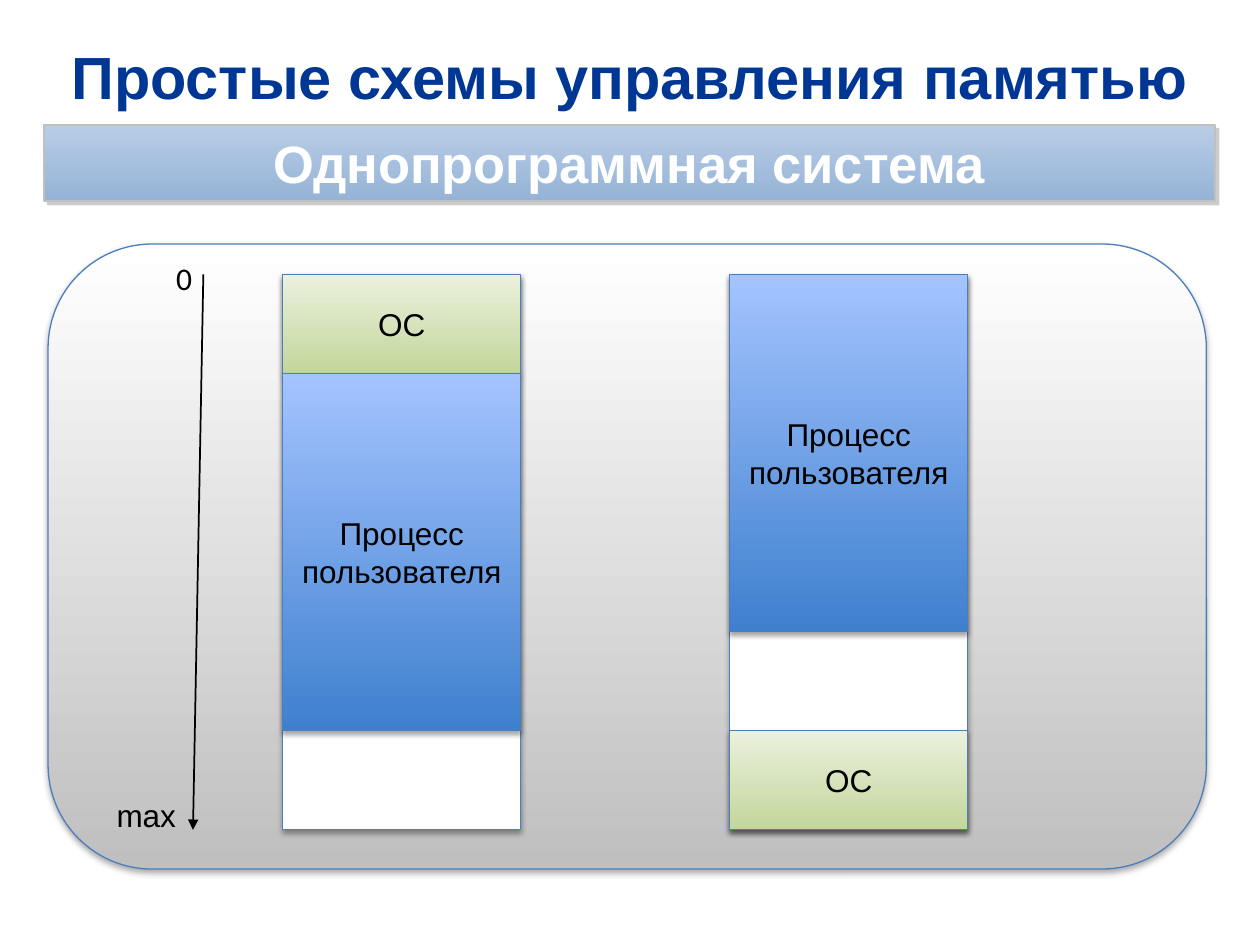
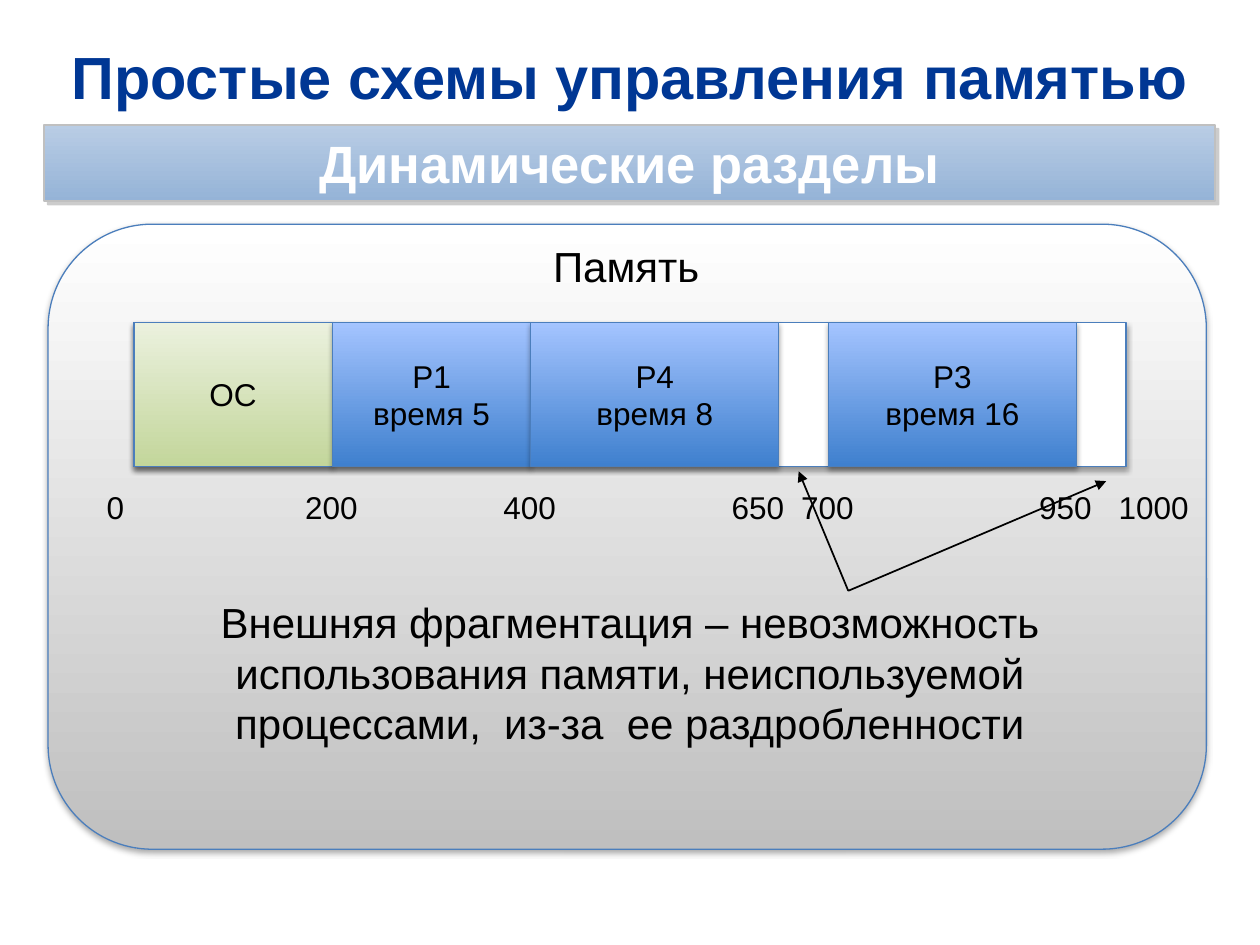
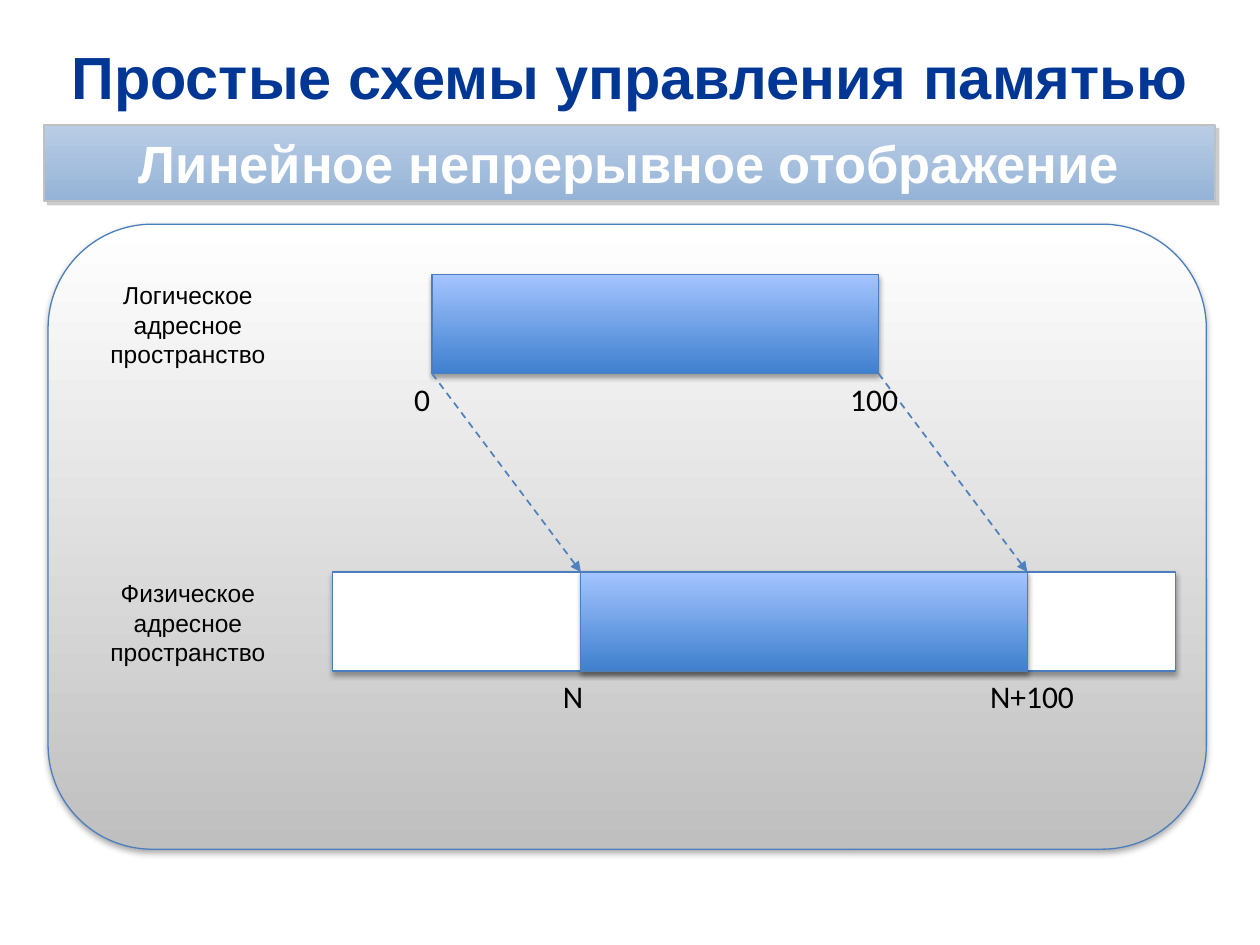
from dataclasses import dataclass
from typing import NamedTuple, Optional

from lxml.etree import SubElement
from pptx import Presentation
from pptx.dml.color import RGBColor
from pptx.enum.dml import MSO_LINE
from pptx.enum.shapes import MSO_CONNECTOR, MSO_SHAPE
from pptx.enum.text import MSO_ANCHOR, PP_ALIGN
from pptx.oxml.ns import qn
from pptx.shapes.autoshape import Shape
from pptx.slide import Slide
from pptx.util import Cm, Pt

TITLE = "Простые схемы управления памятью"
BLACK, WHITE = "000000", "FFFFFF"
TITLE_BLUE = "003794"
OUTLINE = "4B7EBC"
MAPPING_BLUE = "4F81BD"


class Box(NamedTuple):
    """Left, top, width and height in centimetres."""
    left: float
    top: float
    width: float
    height: float


class Shadow(NamedTuple):
    colour: str
    opacity: int
    blur: float
    distance: float
    angle: int


SOFT_SHADOW = Shadow(BLACK, 35, 3.1, 1.8, 90)
BAND_SHADOW = Shadow("808080", 40, 0, 3, 45)


@dataclass(frozen=True)
class Look:
    """Fill from top to bottom, outline and shadow of a shape."""
    top: str
    bottom: str
    outline: str = OUTLINE
    outline_width: float = 0.75
    shadow: Shadow = SOFT_SHADOW


PANEL = Look(WHITE, "BFBFBF")
BAND = Look("B9CDE5", "95B3D7", "C0C0C0", 1, BAND_SHADOW)
FREE = Look(WHITE, WHITE)
SYSTEM = Look("EBF1DE", "C3D69B")
PROCESS = Look("A4C4FF", "3F80CE")


@dataclass(frozen=True)
class TextStyle:
    size: float = 18
    font: str = "Arial"
    colour: str = BLACK
    bold: bool = False
    align: Optional[PP_ALIGN] = None


TITLE_STYLE = TextStyle(34, colour=TITLE_BLUE, bold=True, align=PP_ALIGN.CENTER)
BAND_STYLE = TextStyle(30, colour=WHITE, bold=True, align=PP_ALIGN.CENTER)
BLOCK_STYLE = TextStyle(align=PP_ALIGN.CENTER)
ADDRESS_STYLE = TextStyle()
CALIBRI_STYLE = TextStyle(font="Calibri")
SPACE_STYLE = TextStyle(14, align=PP_ALIGN.CENTER)
HEADING_STYLE = TextStyle(24)
NOTE_STYLE = TextStyle(24, align=PP_ALIGN.CENTER)


class Block(NamedTuple):
    """Part of a memory area, measured along its axis."""
    start: float
    length: float
    look: Look
    text: str = ""


class Address(NamedTuple):
    text: str
    left: float
    width: float


def rgb(colour: str) -> RGBColor:
    return RGBColor.from_string(colour)


def cm_box(box: Box) -> list[Cm]:
    return [Cm(length) for length in box]


def write(shape: Shape, text: str, style: TextStyle) -> None:
    frame = shape.text_frame
    frame.word_wrap = True
    frame.text = text
    for paragraph in frame.paragraphs:
        paragraph.alignment = style.align
        font = paragraph.font
        font.size, font.name, font.bold = Pt(style.size), style.font, style.bold
        font.color.rgb = rgb(style.colour)


def add_label(slide: Slide, box: Box, text: str, style: TextStyle) -> Shape:
    label = slide.shapes.add_textbox(*cm_box(box))
    write(label, text, style)
    return label


def cast_shadow(shape: Shape, shadow: Shadow) -> None:
    shape.shadow.inherit = False
    effects = shape._element.spPr.find(qn("a:effectLst"))
    outer = SubElement(
        effects, qn("a:outerShdw"), blurRad=str(Pt(shadow.blur)),
        dist=str(Pt(shadow.distance)), dir=str(shadow.angle * 60000),
        rotWithShape="0")
    colour = SubElement(outer, qn("a:srgbClr"), val=shadow.colour)
    SubElement(colour, qn("a:alpha"), val=str(shadow.opacity * 1000))


def add_area(slide: Slide, box: Box, look: Look, text: str = "",
             style: TextStyle = BLOCK_STYLE,
             outline: MSO_SHAPE = MSO_SHAPE.RECTANGLE) -> Shape:
    area = slide.shapes.add_shape(outline, *cm_box(box))
    if look.top == look.bottom:
        area.fill.solid()
        area.fill.fore_color.rgb = rgb(look.top)
    else:
        area.fill.gradient()
        area.fill.gradient_angle = 270
        for stop, colour in zip(area.fill.gradient_stops, (look.top, look.bottom)):
            stop.color.rgb = rgb(colour)
    area.line.color.rgb = rgb(look.outline)
    area.line.width = Pt(look.outline_width)
    cast_shadow(area, look.shadow)
    if text:
        area.text_frame.vertical_anchor = MSO_ANCHOR.MIDDLE
        write(area, text, style)
    return area


def add_arrow(slide: Slide, start: tuple[float, float], end: tuple[float, float],
              colour: str = BLACK, dashed: bool = False) -> None:
    arrow = slide.shapes.add_connector(
        MSO_CONNECTOR.STRAIGHT, *(Cm(length) for length in (*start, *end)))
    arrow.line.color.rgb = rgb(colour)
    arrow.line.width = Pt(1)
    if dashed:
        arrow.line.dash_style = MSO_LINE.DASH
    properties = arrow._element.spPr
    SubElement(properties.find(qn("a:ln")), qn("a:tailEnd"), type="triangle")
    SubElement(properties, qn("a:effectLst"))


def add_scheme_slide(deck: Presentation, scheme: str, panel_top: float) -> Slide:
    slide = deck.slides.add_slide(deck.slide_layouts[6])
    add_area(slide, Box(0.97, panel_top, 23.35, 12.6), PANEL,
             outline=MSO_SHAPE.ROUNDED_RECTANGLE)
    title = add_label(slide, Box(0.89, 0.67, 23.6, 1.73), TITLE, TITLE_STYLE)
    title.text_frame.vertical_anchor = MSO_ANCHOR.MIDDLE
    band = add_area(slide, Box(0.89, 2.52, 23.6, 1.53), BAND, scheme, BAND_STYLE)
    frame = band.text_frame
    frame.margin_left = frame.margin_right = Cm(0.6)
    frame.margin_top = frame.margin_bottom = Cm(0.1)
    return slide


def add_single_program_slide(deck: Presentation) -> None:
    slide = add_scheme_slide(deck, "Однопрограммная система", 4.92)
    top, width, height = 5.53, 4.8, 11.2
    user_process = "Процесс\vпользователя"
    columns = {
        5.7: [Block(0, 2, SYSTEM, "ОС"), Block(2, 7.2, PROCESS, user_process)],
        14.71: [Block(9.2, 2, SYSTEM, "ОС"), Block(0, 7.2, PROCESS, user_process)],
    }
    for left, blocks in columns.items():
        add_area(slide, Box(left, top, width, height), FREE)
        for block in blocks:
            add_area(slide, Box(left, top + block.start, width, block.length),
                     block.look, block.text)
    add_arrow(slide, (4.1, top), (3.89, top + height))
    add_label(slide, Box(3.3, 5.1, 0.62, 1.02), "0", CALIBRI_STYLE)
    add_label(slide, Box(2.1, 15.93, 1.8, 1.02), "max", ADDRESS_STYLE)


def add_dynamic_partitions_slide(deck: Presentation) -> None:
    slide = add_scheme_slide(deck, "Динамические разделы", 4.52)
    memory = Box(2.7, 6.5, 20, 2.9)
    cm_per_address = memory.width / 1000
    add_area(slide, memory, FREE)
    partitions = [
        Block(0, 200, SYSTEM, "ОС"),
        Block(200, 200, PROCESS, "P1\nвремя 5"),
        Block(700, 250, PROCESS, "P3\nвремя 16"),
        Block(400, 250, PROCESS, "P4\nвремя 8"),
    ]
    for start, length, look, text in partitions:
        partition = add_area(
            slide, Box(memory.left + start * cm_per_address, memory.top,
                       length * cm_per_address, memory.height), look, text)
        if text.startswith("P1"):
            time = partition.text_frame.paragraphs[1]
            time._p.get_or_add_pPr().set("indent", str(Cm(-0.53)))

    addresses = [
        Address("0", 1.9, 1), Address("200", 5.9, 1.6), Address("400", 9.9, 1.6),
        Address("650", 14.5, 1.6), Address("700", 15.9, 1.6),
        Address("950", 20.7, 1.6), Address("1000", 22.3, 2),
    ]
    for text, left, width in addresses:
        add_label(slide, Box(left, 9.72, width, 1.02), text, ADDRESS_STYLE)

    for free_space in ((16.1, 9.5), (22.3, 9.7)):
        add_arrow(slide, (17.1, 11.91), free_space)
    add_label(slide, Box(10.9, 4.72, 3.81, 1.3), "Память", HEADING_STYLE)
    add_label(slide, Box(2.7, 11.91, 20, 3.33),
              "Внешняя фрагментация – невозможность использования памяти, "
              "неиспользуемой процессами,  из-за  ее раздробленности", NOTE_STYLE)


def add_linear_mapping_slide(deck: Presentation) -> None:
    slide = add_scheme_slide(deck, "Линейное непрерывное отображение", 4.52)
    logical = Box(8.71, 5.53, 9, 2)
    physical = Box(6.7, 11.53, 17, 2)
    mapped = logical._replace(left=11.71, top=physical.top)
    for area, look in ((logical, PROCESS), (physical, FREE), (mapped, PROCESS)):
        add_area(slide, area, look)
    for offset in (0, logical.width):
        add_arrow(slide, (logical.left + offset, logical.top + logical.height),
                  (mapped.left + offset, mapped.top), MAPPING_BLUE, dashed=True)

    rows = [
        (logical, "Логическое", [Address("0", 8.1, 1.2), Address("100", 16.89, 1.6)]),
        (physical, "Физическое",
         [Address("N", 11.1, 1.2), Address("N+100", 19.71, 2.54)]),
    ]
    for area, kind, addresses in rows:
        add_label(slide, Box(1.9, area.top, 3.78, 2.06),
                  f"{kind}\vадресное\vпространство", SPACE_STYLE)
        for text, left, width in addresses:
            add_label(slide, Box(left, area.top + area.height, width, 1.02),
                      text, CALIBRI_STYLE)


def main() -> None:
    deck = Presentation()
    deck.slide_width, deck.slide_height = Cm(25.4), Cm(19.05)
    add_single_program_slide(deck)
    add_dynamic_partitions_slide(deck)
    add_linear_mapping_slide(deck)
    deck.save("out.pptx")


if __name__ == "__main__":
    main()
